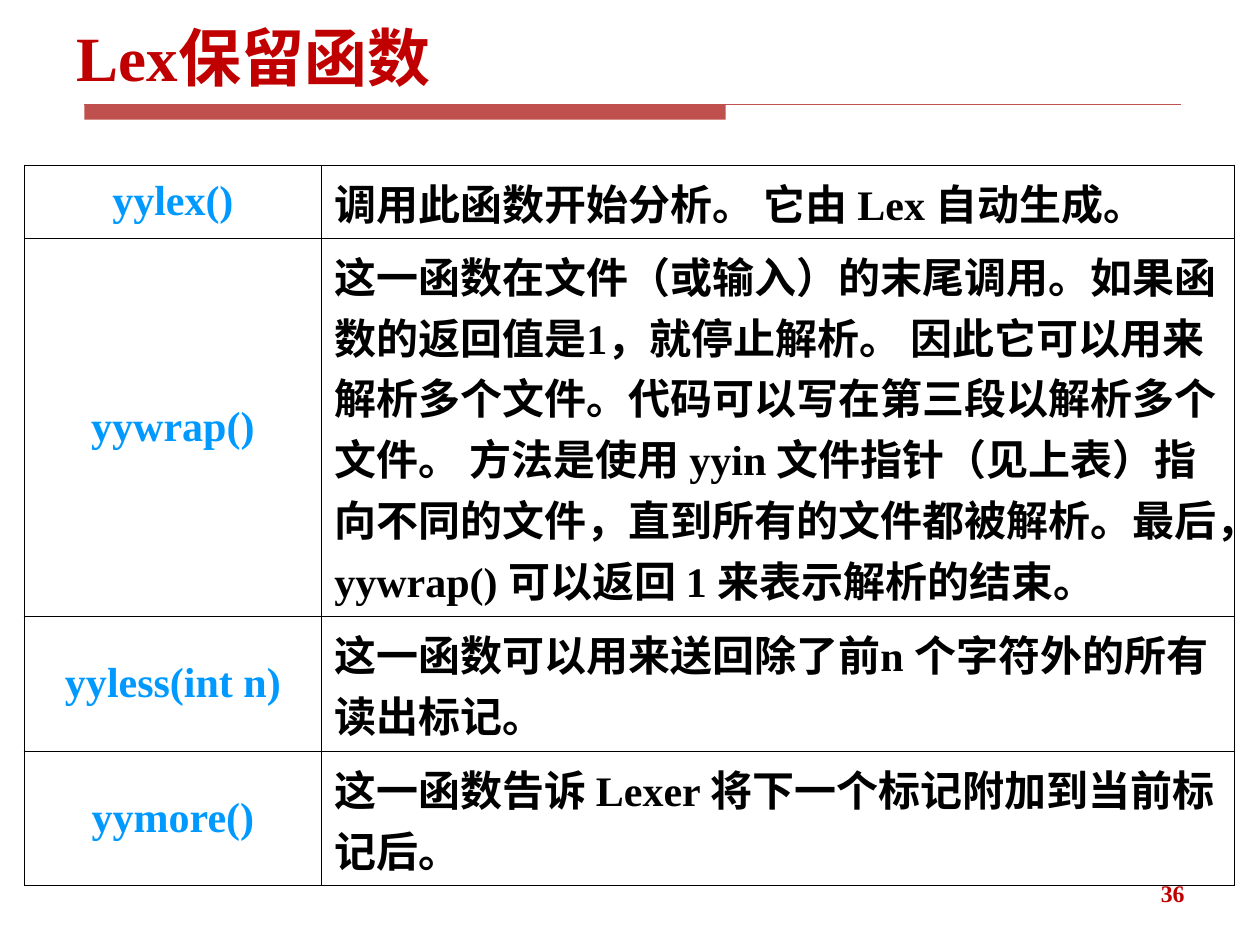
from lxml.etree import SubElement
from pptx import Presentation
from pptx.dml.color import RGBColor
from pptx.enum.lang import MSO_LANGUAGE_ID
from pptx.enum.shapes import MSO_CONNECTOR, MSO_SHAPE
from pptx.enum.text import MSO_ANCHOR, PP_ALIGN
from pptx.oxml.ns import qn
from pptx.util import Inches, Pt

RED = RGBColor(0xC0, 0x00, 0x00)
BRICK = RGBColor(0xC0, 0x50, 0x4D)
BLUE = RGBColor(0x00, 0x99, 0xFF)
BLACK = RGBColor(0x00, 0x00, 0x00)
WHITE = RGBColor(0xFF, 0xFF, 0xFF)
FONT = "Times New Roman"
TITLE_ONLY = 5
SLIDE_WIDTH, SLIDE_HEIGHT = Inches(10), Inches(7.5)
BORDER_WIDTH = Pt(0.45)

FUNCTIONS = [
    ("yylex()", "调用此函数开始分析。 它由 Lex 自动生成。", 0.58),
    ("yywrap()",
     "这一函数在文件（或输入）的末尾调用。如果函数的返回值是1，就停止解析。 "
     "因此它可以用来解析多个文件。代码可以写在第三段以解析多个文件。 "
     "方法是使用 yyin 文件指针（见上表）指向不同的文件，直到所有的文件都被解析。"
     "最后，yywrap() 可以返回 1 来表示解析的结束。", 3),
    ("yyless(int n)", "这一函数可以用来送回除了前n 个字符外的所有读出标记。", 1.07),
    ("yymore()", "这一函数告诉 Lexer 将下一个标记附加到当前标记后。", 1.07),
]


def box_of(left, top, width, height):
    return (round(SLIDE_WIDTH * left / 10), round(SLIDE_HEIGHT * top / 7.5),
            round(SLIDE_WIDTH * width / 10), round(SLIDE_HEIGHT * height / 7.5))


def write(text_frame, text, size, color, alignment=PP_ALIGN.LEFT):
    paragraph = text_frame.paragraphs[0]
    paragraph.alignment = alignment
    run = paragraph.add_run()
    run.text = text
    run.font.name = FONT
    run.font.size = Pt(size)
    run.font.bold = True
    run.font.color.rgb = color
    run.font.language_id = MSO_LANGUAGE_ID.SIMPLIFIED_CHINESE
    return paragraph


def add_title(slide, box, text):
    title = slide.shapes.title
    title.left, title.top, title.width, title.height = box
    title.text_frame.word_wrap = True
    title.text_frame.vertical_anchor = MSO_ANCHOR.MIDDLE
    write(title.text_frame, text, 36, RED)


def add_rule(slide, box):
    left, top, width, height = box
    bar = slide.shapes.add_shape(MSO_SHAPE.RECTANGLE, left, top, round(width * 0.585), height)
    bar.shadow.inherit = False
    bar.fill.solid()
    bar.fill.fore_color.rgb = BRICK
    bar.line.fill.background()
    line = slide.shapes.add_connector(MSO_CONNECTOR.STRAIGHT, left, top, left + width, top)
    line.line.color.rgb = BRICK
    line.line.width = Pt(1)
    SubElement(line._element.spPr, qn("a:effectLst"))


def add_borders(cell):
    properties = cell._tc.get_or_add_tcPr()
    for side in ("a:lnL", "a:lnR", "a:lnT", "a:lnB"):
        border = SubElement(properties, qn(side), w=str(BORDER_WIDTH))
        fill = SubElement(border, qn("a:solidFill"))
        SubElement(fill, qn("a:srgbClr"), val=str(BLACK))


def format_cell(cell, text, color, alignment):
    add_borders(cell)
    cell.fill.solid()
    cell.fill.fore_color.rgb = WHITE
    cell.vertical_anchor = MSO_ANCHOR.MIDDLE
    write(cell.text_frame, text, 24, color, alignment)


def add_function_table(slide, box, functions):
    table = slide.shapes.add_table(len(functions), 2, *box).table
    table.first_row = table.horz_banding = False
    name_width = round(box[2] * 0.246)
    table.columns[0].width = name_width
    table.columns[1].width = box[2] - name_width
    total = sum(height for _, _, height in functions)
    for row, (name, description, height) in enumerate(functions):
        table.rows[row].height = round(box[3] * height / total)
        format_cell(table.cell(row, 0), name, BLUE, PP_ALIGN.CENTER)
        format_cell(table.cell(row, 1), description, BLACK, PP_ALIGN.LEFT)


def add_page_number(slide, box, number):
    text_frame = slide.shapes.add_textbox(*box).text_frame
    text_frame.word_wrap = True
    paragraph = write(text_frame, number, 13.6, RED, PP_ALIGN.RIGHT)
    paragraph.line_spacing = 0.9


def main():
    presentation = Presentation()
    presentation.slide_width, presentation.slide_height = SLIDE_WIDTH, SLIDE_HEIGHT
    slide = presentation.slides.add_slide(presentation.slide_layouts[TITLE_ONLY])
    add_rule(slide, box_of(0.67, 0.83, 8.7, 0.12))
    add_title(slide, box_of(0.51, 0, 8.99, 0.89), "Lex保留函数")
    add_page_number(slide, box_of(7.17, 6.95, 2.33, 0.4), "36")
    add_function_table(slide, box_of(0.19, 1.31, 9.61, 5.72), FUNCTIONS)
    presentation.save("out.pptx")


if __name__ == "__main__":
    main()
